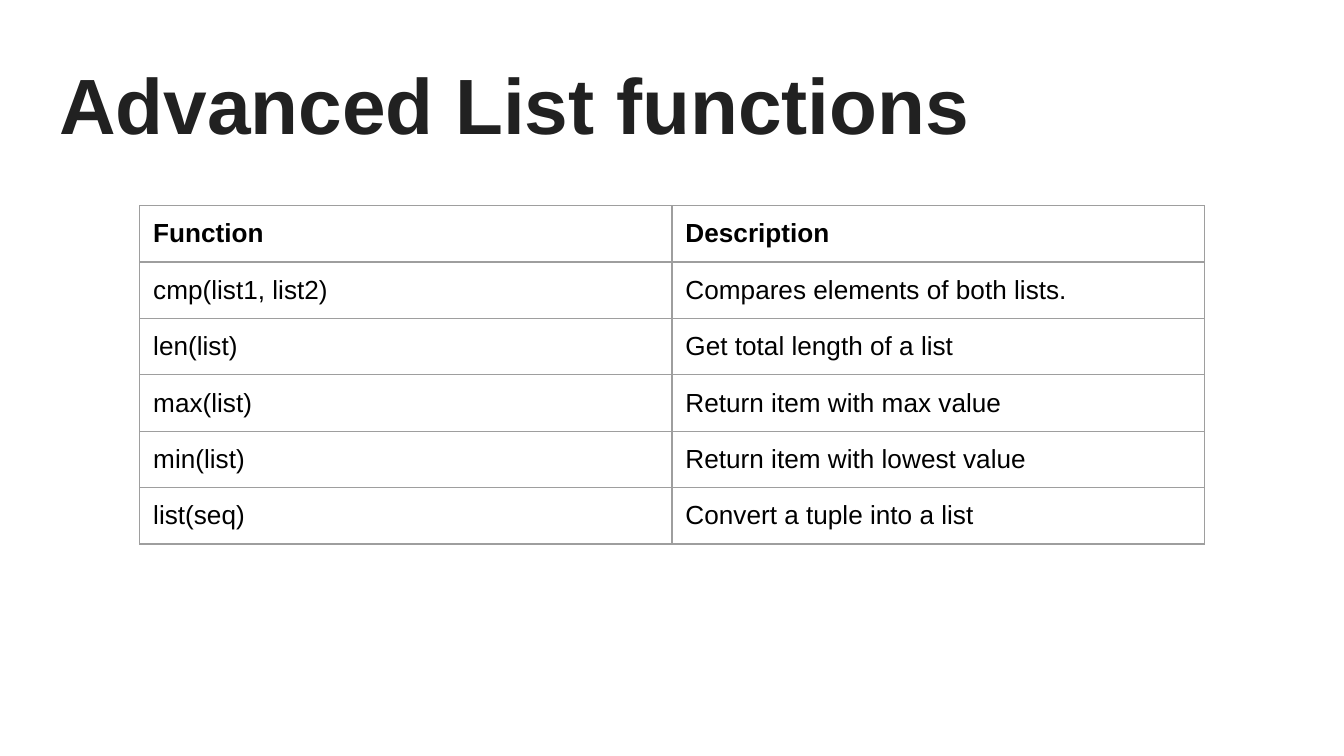
from pptx import Presentation
from pptx.dml.color import RGBColor
from pptx.enum.text import MSO_ANCHOR, PP_ALIGN
from pptx.oxml import parse_xml
from pptx.oxml.ns import nsdecls
from pptx.util import Inches, Pt

COLORS = {"title": "212121", "text": "000000", "border": "9E9E9E", "cell": "FFFFFF"}


class SlideBuilder:
    font = "Arial"
    inset = Inches(0.1)

    def __init__(self, slide):
        self.slide = slide

    def set_insets(self, target):
        target.margin_left = target.margin_right = self.inset
        target.margin_top = target.margin_bottom = self.inset

    def format_text(self, p, size, color, bold):
        p.alignment = PP_ALIGN.LEFT
        for r in p.runs:
            r.font.name = self.font
            r.font.size = Pt(size)
            r.font.bold = bold
            r.font.color.rgb = RGBColor.from_string(COLORS[color])

    def title(self, text, left, top, width, height):
        sp = self.slide.shapes.title
        sp.left, sp.top = Inches(left), Inches(top)
        sp.width, sp.height = Inches(width), Inches(height)
        tf = sp.text_frame
        tf.text = text
        tf.word_wrap = True
        tf.vertical_anchor = MSO_ANCHOR.TOP
        self.set_insets(tf)
        p = tf.paragraphs[0]
        p.line_spacing = 1.0
        self.format_text(p, 42, "title", True)

    def borders(self, cell):
        tcPr = cell._tc.get_or_add_tcPr()
        for i, side in enumerate(("lnL", "lnR", "lnT", "lnB")):
            tcPr.insert(i, parse_xml(
                f'<a:{side} {nsdecls("a")} w="{Pt(0.75)}"><a:solidFill>'
                f'<a:srgbClr val="{COLORS["border"]}"/></a:solidFill></a:{side}>'))

    def table(self, rows, left, top, col_width, row_height):
        n_rows, n_cols = len(rows), len(rows[0])
        table = self.slide.shapes.add_table(
            n_rows, n_cols, Inches(left), Inches(top),
            Inches(col_width * n_cols), Inches(row_height * n_rows)).table
        table.horz_banding = False
        for i, row in enumerate(rows):
            for j, text in enumerate(row):
                cell = table.cell(i, j)
                cell.text = text
                cell.fill.solid()
                cell.fill.fore_color.rgb = RGBColor.from_string(COLORS["cell"])
                self.set_insets(cell)
                self.borders(cell)
                self.format_text(cell.text_frame.paragraphs[0], 14, "text", i == 0)


FUNCTIONS = [
    ("Function", "Description"),
    ("cmp(list1, list2)", "Compares elements of both lists."),
    ("len(list)", "Get total length of a list"),
    ("max(list)", "Return item with max value"),
    ("min(list)", "Return item with lowest value"),
    ("list(seq)", "Convert a tuple into a list"),
]

prs = Presentation()
prs.slide_width = Inches(10)
prs.slide_height = prs.slide_width * 9 // 16
s = SlideBuilder(prs.slides.add_slide(prs.slide_layouts[5]))
s.title("Advanced List functions", 0.34, 0.32, 9.32, 0.88)
s.table(FUNCTIONS, 1.04, 1.53, 3.96, 0.42)
prs.save("out.pptx")
